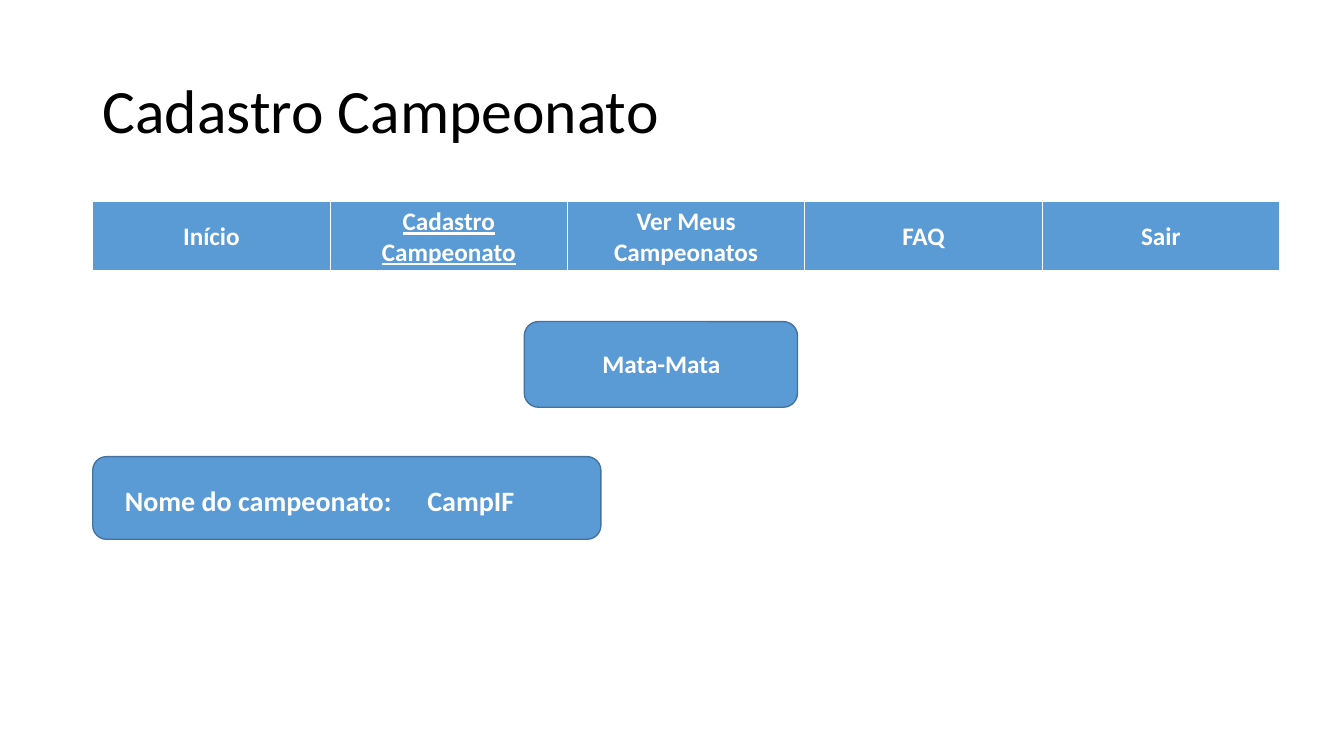
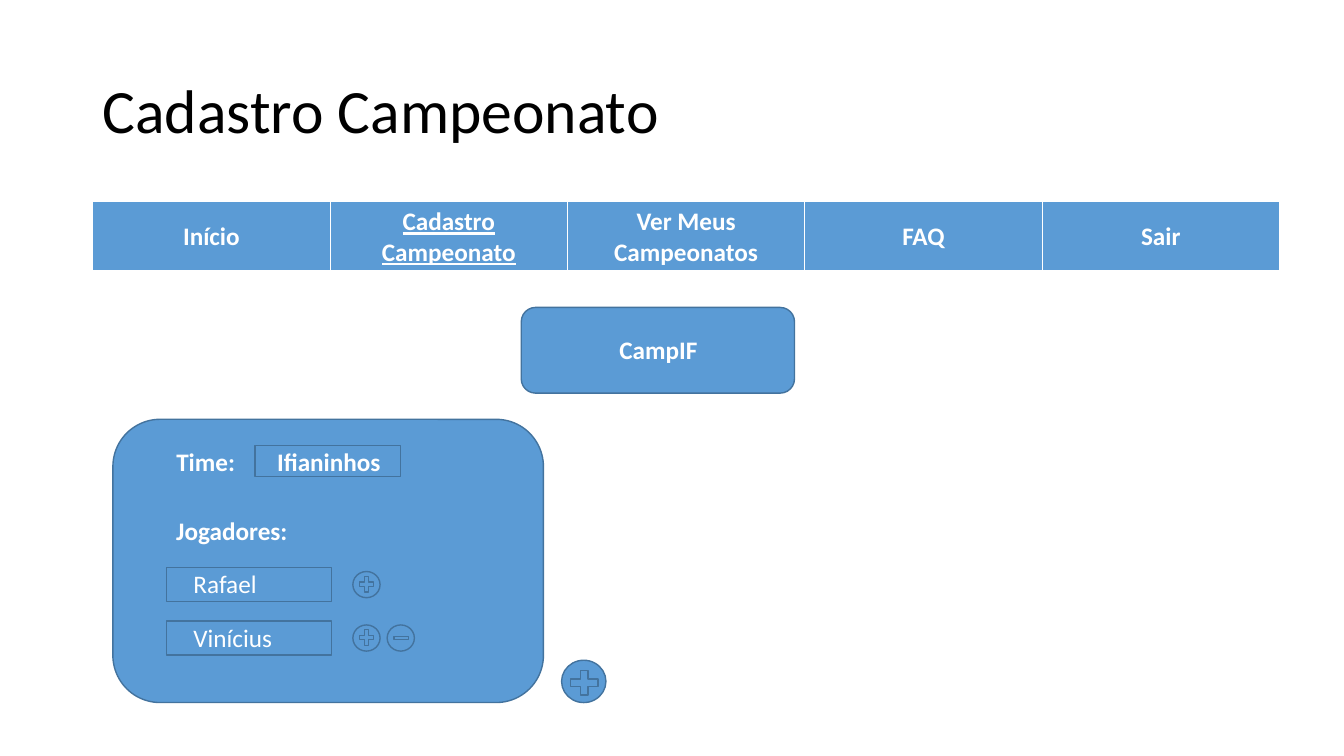
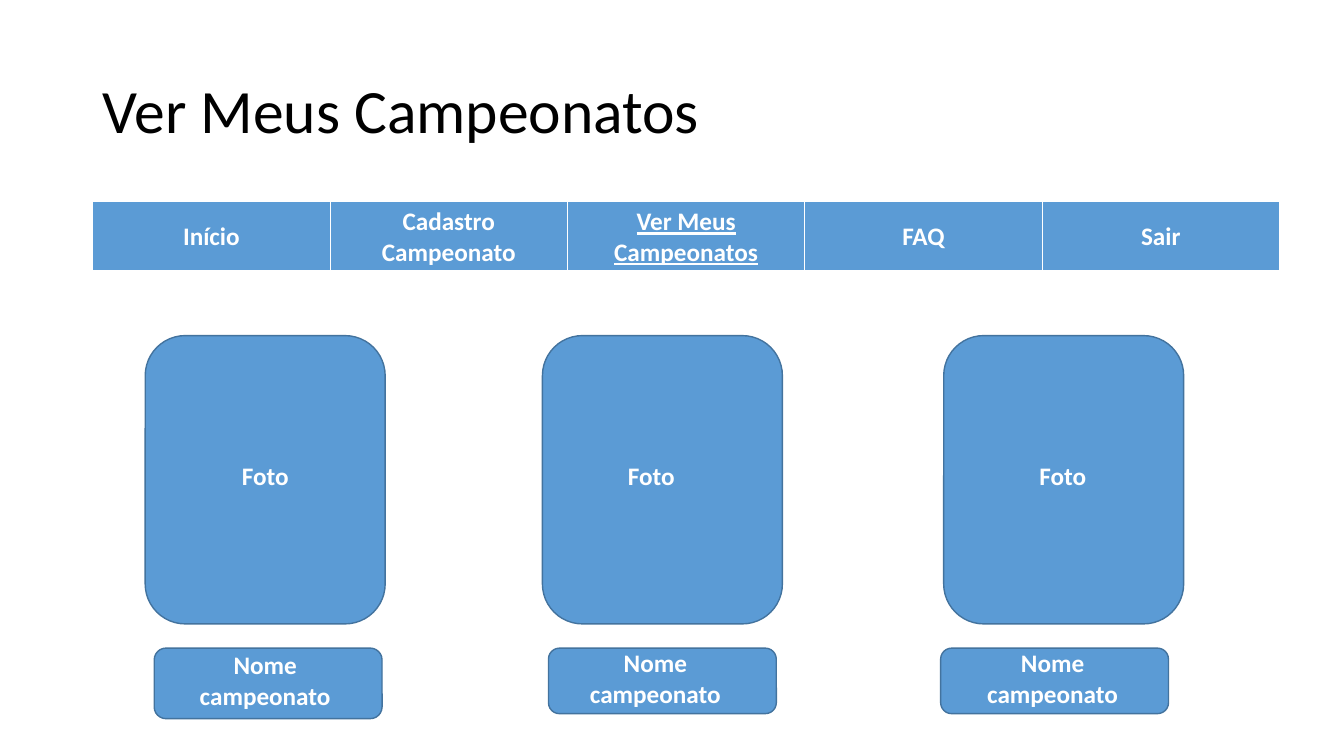
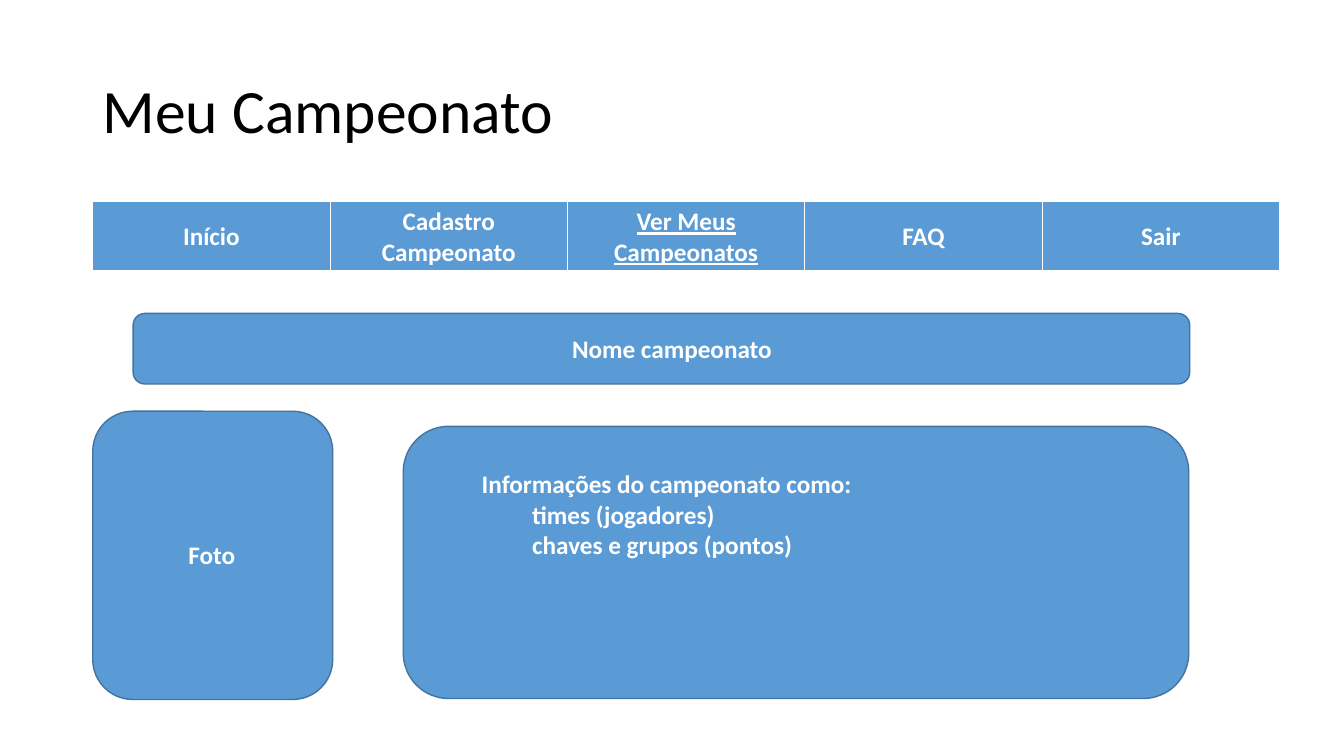
from dataclasses import dataclass

from lxml.etree import SubElement
from pptx import Presentation
from pptx.dml.color import RGBColor
from pptx.enum.shapes import MSO_SHAPE as Preset
from pptx.enum.text import MSO_ANCHOR as Anchor, PP_ALIGN as Align
from pptx.oxml.ns import qn
from pptx.util import Inches, Pt


@dataclass(frozen=True)
class Theme:
    """Colours, font and type sizes shared by all slides."""
    font: str = "Calibri"
    ink: RGBColor = RGBColor(0x00, 0x00, 0x00)
    white: RGBColor = RGBColor(0xFF, 0xFF, 0xFF)
    fill: RGBColor = RGBColor(0x5B, 0x9B, 0xD5)
    outline: RGBColor = RGBColor(0x43, 0x73, 0x9E)
    title_size: int = 44
    field_size: int = 20
    body_size: int = 18


MENU = ["Início", "Cadastro Campeonato", "Ver Meus Campeonatos", "FAQ", "Sair"]
REGISTER, MY_CUPS = MENU[1:3]
CARD_WIDTH, CARD_HEIGHT = 2.38, 2.86


class Mockup:
    """Draws the screens of the championship site, one per slide."""

    def __init__(self, theme):
        """Open an empty widescreen deck."""
        self.theme = theme
        self.deck = Presentation()
        self.deck.slide_width, self.deck.slide_height = Inches(13.33), Inches(7.5)
        self.page = None

    def screen(self, title, active):
        """Start a slide with its title and the menu bar."""
        self.page = self.deck.slides.add_slide(self.deck.slide_layouts[6])
        heading = self.text(title, 0.92, 0.4, 11.5, 1.45, size=self.theme.title_size,
                            color=self.theme.ink, bold=False, anchor=Anchor.MIDDLE)
        heading.text_frame.paragraphs[0].line_spacing = 0.9
        self.menu(active)

    def style(self, para, size, color, bold):
        """Set the font of one paragraph."""
        font = para.font
        font.name, font.size, font.bold = self.theme.font, Pt(size), bold
        font.color.rgb = color

    def text(self, words, left, top, width, height, size=None, color=None,
             bold=True, align=Align.LEFT, anchor=Anchor.TOP):
        """Add a text box, one paragraph per line of words."""
        box = self.page.shapes.add_textbox(*map(Inches, (left, top, width, height)))
        frame = box.text_frame
        frame.word_wrap, frame.vertical_anchor = True, anchor
        frame.text = words
        for para in frame.paragraphs:
            para.alignment = align
            self.style(para, size or self.theme.body_size, color or self.theme.white, bold)
        return box

    def shape(self, preset, left, top, width, height, filled=True):
        """Add a preset shape in the common fill and outline."""
        shape = self.page.shapes.add_shape(preset, *map(Inches, (left, top, width, height)))
        shape.shadow.inherit = False
        shape.line.color.rgb, shape.line.width = self.theme.outline, Pt(1)
        if filled:
            shape.fill.solid()
            shape.fill.fore_color.rgb = self.theme.fill
        else:
            shape.fill.background()

    def panel(self, left, top, width, height):
        """Add a rounded panel."""
        self.shape(Preset.ROUNDED_RECTANGLE, left, top, width, height)

    def button(self, words, left, top):
        """Add a rounded heading button with centred text."""
        self.panel(left, top, 2.71, 0.85)
        self.text(words, left + 0.23, top + 0.22, 2.26, 0.4, align=Align.CENTER)

    def photo_card(self, left, top, label_left, label_top):
        """Add a photo placeholder card."""
        self.panel(left, top, CARD_WIDTH, CARD_HEIGHT)
        self.text("Foto", label_left, label_top, 0.7, 0.4)

    def menu(self, active):
        """Add the menu bar and underline the active entry."""
        frame = self.page.shapes.add_table(
            1, len(MENU), *map(Inches, (0.92, 2, 11.77, 0.7)))
        table = frame.table
        table.horz_banding = False
        for cell, entry in zip(table.rows[0].cells, MENU):
            cell.text, cell.vertical_anchor = entry, Anchor.MIDDLE
            para = cell.text_frame.paragraphs[0]
            para.alignment = Align.CENTER
            self.style(para, self.theme.body_size, self.theme.white, True)
            para.font.underline = entry == active
            self.cell_borders(cell)
            cell.fill.solid()
            cell.fill.fore_color.rgb = self.theme.fill

    def cell_borders(self, cell):
        """Give a cell white borders, the lower one thick."""
        props = cell._tc.get_or_add_tcPr()
        for side, points in (("L", 1), ("R", 1), ("T", 1), ("B", 3)):
            line = SubElement(props, qn(f"a:ln{side}"), w=str(Pt(points)))
            fill = SubElement(line, qn("a:solidFill"))
            SubElement(fill, qn("a:srgbClr"), val=str(self.theme.white))


def championship_name(mockup):
    """Screen asking for the championship's name."""
    mockup.screen("Cadastro Campeonato", REGISTER)
    mockup.button("Mata-Mata", 5.2, 3.19)
    mockup.panel(0.92, 4.53, 5.04, 0.82)
    mockup.text("Nome do campeonato:\tCampIF", 1.14, 4.75, 4.62, 0.44,
                size=mockup.theme.field_size)


def team_form(mockup):
    """Screen for entering a team and its players."""
    mockup.screen("Cadastro Campeonato", REGISTER)
    mockup.panel(1.12, 4.16, 4.27, 2.81)
    mockup.text("Time:\tIfianinhos", 1.65, 4.38, 3.59, 0.4)
    mockup.shape(Preset.RECTANGLE, 2.53, 4.42, 1.44, 0.31, filled=False)
    mockup.text("Jogadores:", 1.65, 5.06, 3.34, 0.4)
    for player, top in (("Rafael", 5.63), ("Vinícius", 6.16)):
        mockup.shape(Preset.RECTANGLE, 1.65, top, 1.64, 0.34)
        mockup.text(player, 1.82, top - 0.04, 1.29, 0.4, bold=False)
        mockup.shape(Preset.OVAL, 3.5, top + 0.04, 0.27, 0.26)
        mockup.shape(Preset.MATH_PLUS, 3.54, top + 0.06, 0.19, 0.21)
    mockup.shape(Preset.OVAL, 3.84, 6.2, 0.27, 0.26)
    mockup.shape(Preset.MATH_MINUS, 3.88, 6.26, 0.2, 0.14)
    mockup.shape(Preset.OVAL, 5.57, 6.55, 0.44, 0.42)
    mockup.shape(Preset.MATH_PLUS, 5.61, 6.61, 0.37, 0.33)
    mockup.button("CampIF", 5.17, 3.05)


def championship_gallery(mockup):
    """Screen with the user's championships side by side."""
    mockup.screen("Ver Meus Campeonatos", MY_CUPS)
    for left, label_left in ((1.44, 2.3), (5.38, 6.13), (9.36, 10.21)):
        mockup.photo_card(left, 3.33, label_left, 4.52)
    for left, height, label_left, label_top in (
            (1.53, 0.7, 1.67, 6.39), (5.44, 0.65, 5.54, 6.37), (9.33, 0.65, 9.48, 6.37)):
        mockup.panel(left, 6.43, 2.26, height)
        mockup.text("Nome campeonato", label_left, label_top, 1.92, 0.71,
                    align=Align.CENTER, anchor=Anchor.MIDDLE)


def championship_details(mockup):
    """Screen with one championship's details."""
    mockup.screen("Meu Campeonato", MY_CUPS)
    mockup.photo_card(0.92, 4.08, 1.77, 5.3)
    mockup.panel(1.32, 3.11, 10.48, 0.7)
    mockup.text("Nome campeonato", 3.88, 3.26, 5.57, 0.4,
                align=Align.CENTER, anchor=Anchor.MIDDLE)
    mockup.panel(4, 4.23, 7.79, 2.7)
    mockup.text("Informações do campeonato como:\n\ttimes (jogadores)\n"
                "\tchaves e grupos (pontos)", 4.68, 4.6, 6.56, 1.31)


def main():
    """Build and save the four screens."""
    mockup = Mockup(Theme())
    for build in (championship_name, team_form, championship_gallery, championship_details):
        build(mockup)
    mockup.deck.save("out.pptx")


main()
